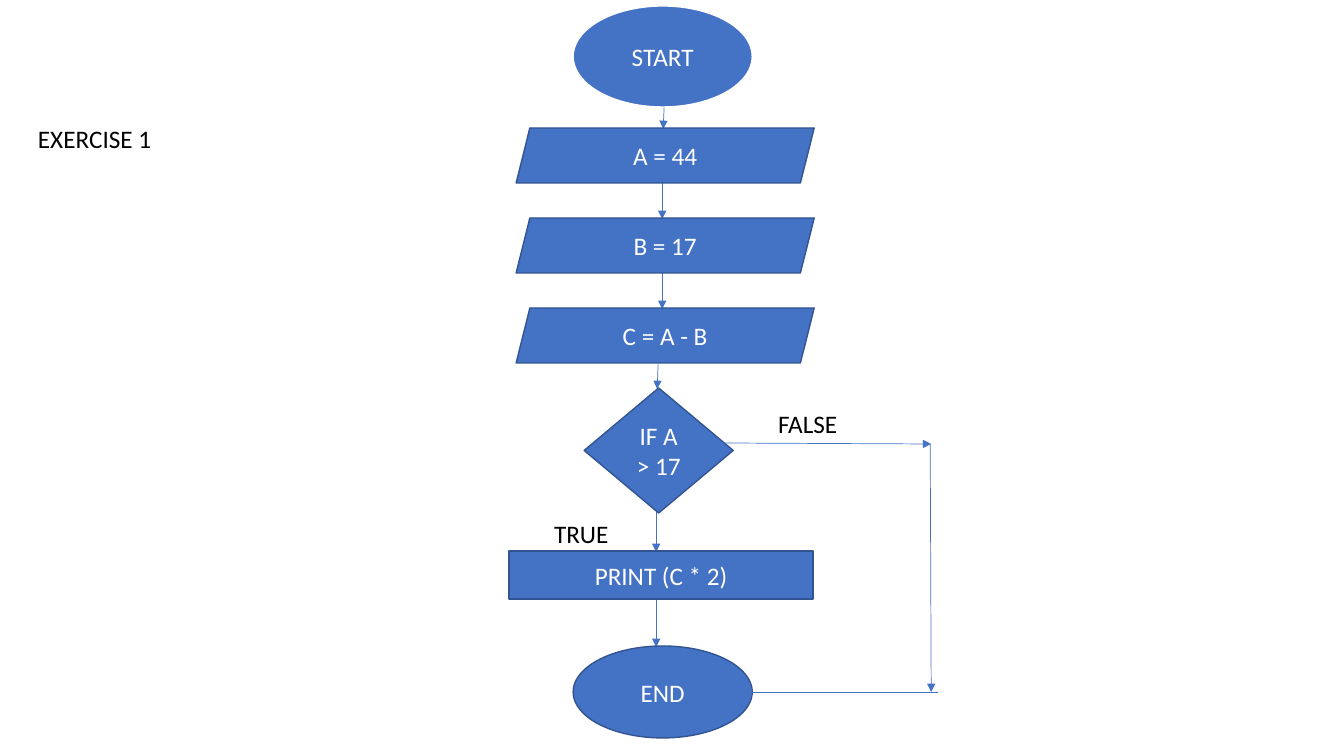
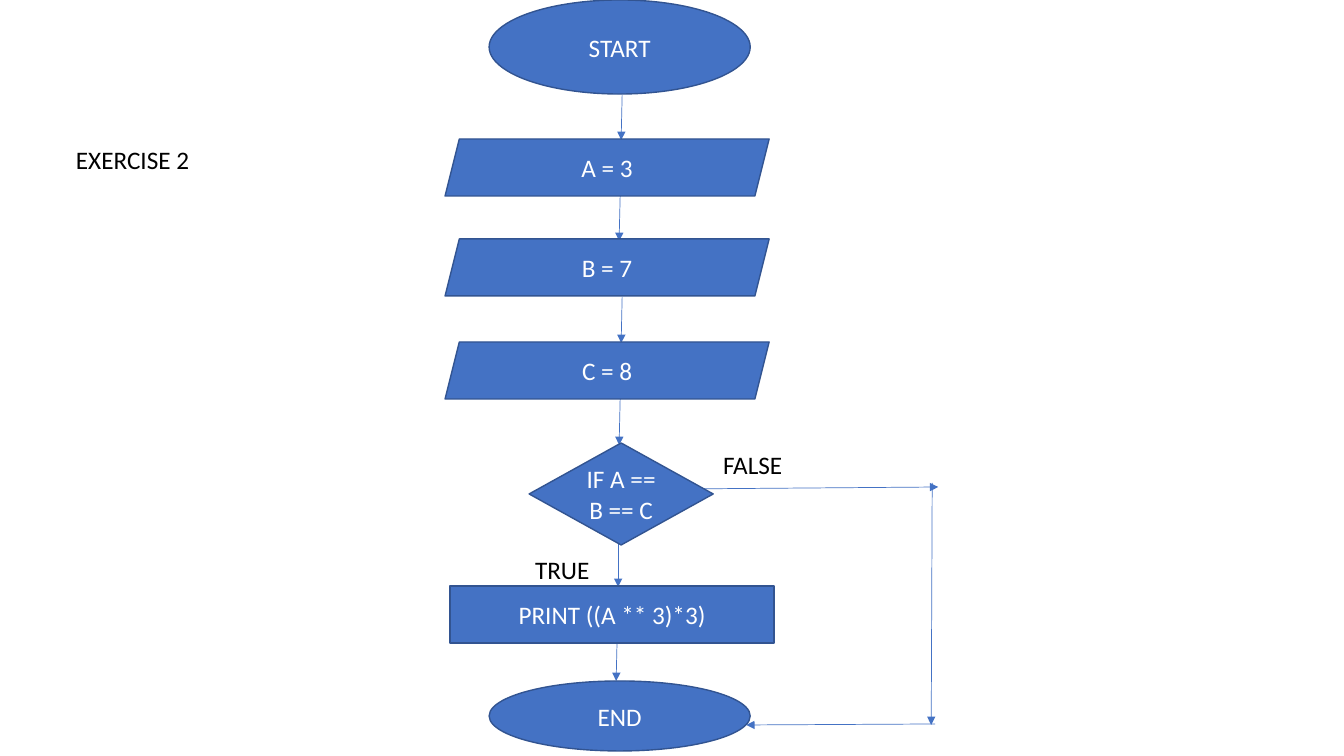
from lxml.etree import SubElement
from pptx import Presentation
from pptx.dml.color import RGBColor
from pptx.enum.shapes import MSO_CONNECTOR, MSO_SHAPE
from pptx.enum.text import MSO_ANCHOR, MSO_AUTO_SIZE, PP_ALIGN
from pptx.oxml.ns import qn
from pptx.util import Emu, Inches, Pt

SCALE = 914400 / 100.8
COLORS = {"fill": "4472C4", "outline": "325491", "white": "FFFFFF", "black": "000000"}


def px(value):
    return Emu(round(value * SCALE))


def color(name):
    return RGBColor.from_string(COLORS[name])


class Flowchart:
    """Shared flowchart style and the slide being drawn."""

    font_name = "Calibri"
    font_size = Pt(18)
    label_height = 40

    def __init__(self, presentation):
        self.presentation = presentation
        self.slide = None

    def new_slide(self):
        self.slide = self.presentation.slides.add_slide(self.presentation.slide_layouts[6])

    def set_text(self, frame, text, color_name, align):
        frame.word_wrap = True
        paragraph = frame.paragraphs[0]
        paragraph.text = text
        paragraph.alignment = align
        paragraph.font.name = self.font_name
        paragraph.font.size = self.font_size
        paragraph.font.color.rgb = color(color_name)

    def node(self, kind, text, left, top, width, height, outline="outline"):
        shape = self.slide.shapes.add_shape(kind, px(left), px(top), px(width), px(height))
        shape.shadow.inherit = False
        shape.fill.solid()
        shape.fill.fore_color.rgb = color("fill")
        shape.line.color.rgb = color(outline)
        shape.line.width = Pt(1)
        shape.text_frame.vertical_anchor = MSO_ANCHOR.MIDDLE
        self.set_text(shape.text_frame, text, "white", PP_ALIGN.CENTER)

    def terminal(self, text, *box, outline="outline"):
        self.node(MSO_SHAPE.OVAL, text, *box, outline=outline)

    def assignments(self, left, width, height, steps):
        for text, top in steps:
            self.node(MSO_SHAPE.PARALLELOGRAM, text, left, top, width, height)

    def decision(self, text, *box):
        self.node(MSO_SHAPE.DIAMOND, text, *box)

    def output(self, text, *box):
        self.node(MSO_SHAPE.RECTANGLE, text, *box)

    def arrows(self, routes):
        for route in routes:
            connector = self.slide.shapes.add_connector(MSO_CONNECTOR.STRAIGHT, *map(px, route))
            connector.line.color.rgb = color("fill")
            connector.line.width = Pt(0.5)
            properties = connector._element.spPr
            SubElement(properties.find(qn("a:ln")), qn("a:tailEnd"), type="triangle")
            SubElement(properties, qn("a:effectLst"))

    def label(self, text, left, top, width):
        box = self.slide.shapes.add_textbox(px(left), px(top), px(width), px(self.label_height))
        self.set_text(box.text_frame, text, "black", PP_ALIGN.LEFT)
        box.text_frame.auto_size = MSO_AUTO_SIZE.SHAPE_TO_FIT_TEXT


presentation = Presentation()
presentation.slide_width = Inches(13.33)
presentation.slide_height = Inches(7.5)
chart = Flowchart(presentation)

# Exercise 1: steps joined from top to bottom
chart.new_slide()
chart.arrows([
    (664, 107, 663, 129),
    (662, 183, 662, 219),
    (662, 273, 662, 309),
    (658, 364, 657, 389),
    (656, 503, 656, 552),
    (656, 599, 656, 647),
])
chart.terminal("START", 573, 6, 179, 101, outline="white")
chart.assignments(516, 298, 55, [("A = 44", 128), ("B = 17", 218), ("C = A - B", 308)])
chart.decision("IF A > 17", 584, 388, 149, 125)
chart.output("PRINT (C * 2)", 509, 551, 304, 48)
chart.terminal("END", 573, 646, 179, 92)

# Exercise 1: false branch and labels
chart.arrows([
    (719, 443, 931, 444),
    (930, 444, 931, 692),
    (938, 692, 743, 692),
])
chart.label("TRUE", 544, 513, 92)
chart.label("FALSE", 768, 403, 92)
chart.label("EXERCISE 1", 28, 118, 475)

# Exercise 2: arrows lie behind the steps
chart.new_slide()
chart.arrows([
    (622, 95, 621, 140),
    (620, 196, 619, 241),
    (622, 297, 621, 343),
    (620, 399, 619, 445),
    (618, 541, 618, 587),
    (617, 637, 616, 681),
    (676, 489, 938, 487),
    (932, 483, 931, 725),
    (935, 724, 746, 725),
])
chart.terminal("START", 489, 0, 261, 94)
chart.assignments(445, 324, 57, [("A = 3", 139), ("B = 7", 239), ("C = 8", 342)])
chart.decision("IF A == B == C", 529, 443, 184, 102)
chart.output("PRINT ((A ** 3)*3)", 450, 586, 324, 57)
chart.terminal("END", 489, 681, 261, 70)

# Exercise 2: labels
chart.label("FALSE", 713, 444, 84)
chart.label("TRUE", 525, 549, 82)
chart.label("EXERCISE 2", 66, 139, 195)

presentation.save("out.pptx")
